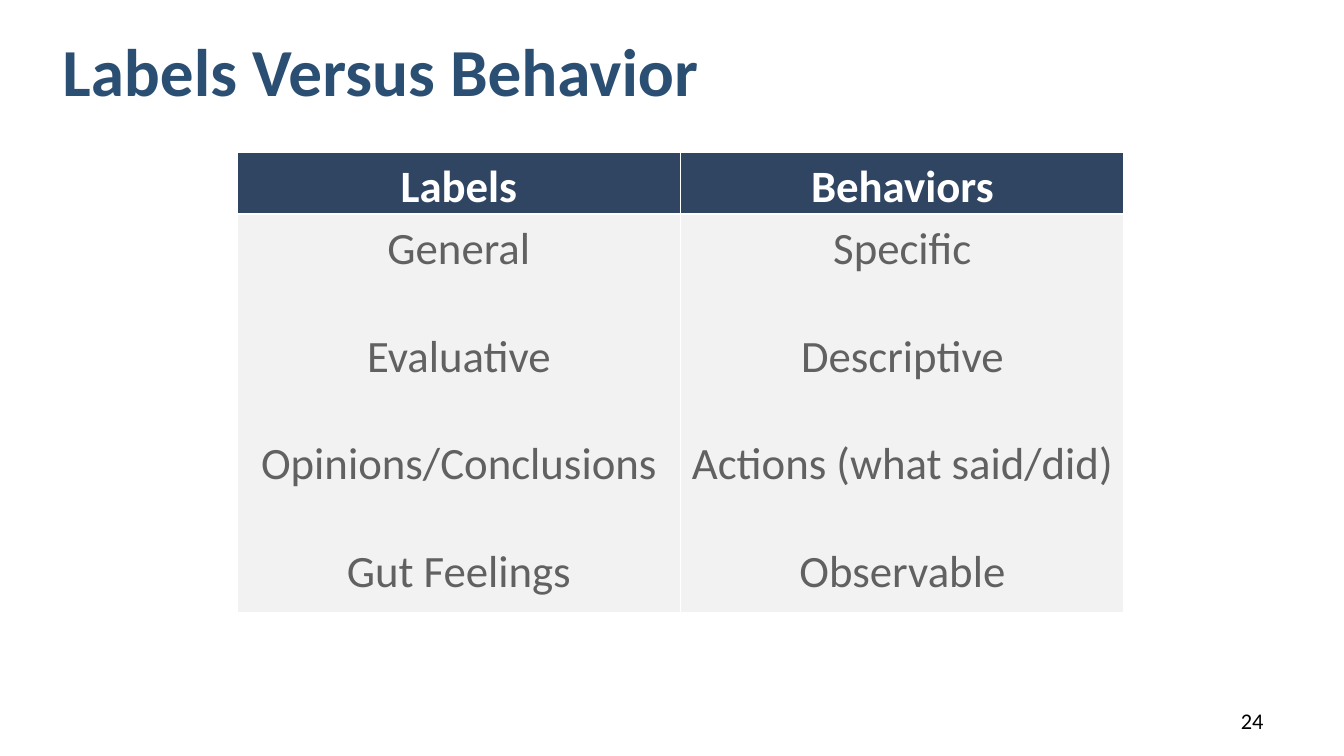
"""Build the slide comparing labels with behaviors in a two-column table."""
from dataclasses import dataclass

from lxml import etree
from pptx import Presentation
from pptx import util as u
from pptx.dml.color import RGBColor
from pptx.enum import text
from pptx.oxml import ns

WIDTH = u.Inches(10)
HEIGHT = WIDTH * 9 // 16
FONT = "Calibri"
COLORS = {
    "title": "2B4F73",
    "header": "304562",
    "body": "F2F2F2",
    "body_text": "616161",
    "white": "FFFFFF",
    "black": "000000",
}


@dataclass(frozen=True)
class Box:
    """Position and size as percentages of the slide."""

    left: float
    top: float
    width: float
    height: float

    def emu(self) -> tuple[int, int, int, int]:
        """Return the box in slide units."""
        return (
            round(WIDTH * self.left / 100),
            round(HEIGHT * self.top / 100),
            round(WIDTH * self.width / 100),
            round(HEIGHT * self.height / 100),
        )


@dataclass(frozen=True)
class Style:
    """Look of a run of text."""

    size: int
    color: str
    bold: bool = False


@dataclass(frozen=True)
class Column:
    """Heading and entries of one table column."""

    heading: str
    entries: tuple[str, ...]


TITLE_BOX = Box(3.65, 3.02, 73.6, 12.62)
TABLE_BOX = Box(17.64, 20.12, 66, 60.7)
NUMBER_BOX = Box(71.7, 92.7, 23.3, 5.33)
HEADER_SHARE = 0.13
COLUMNS = (
    Column("Labels", ("General", "Evaluative", "Opinions/Conclusions", "Gut Feelings")),
    Column("Behaviors", ("Specific", "Descriptive", "Actions (what said/did)", "Observable")),
)


def format_runs(tf, style: Style, align) -> None:
    """Apply one style and alignment to all the text in a frame."""
    for p in tf.paragraphs:
        p.alignment = align
        for r in p.runs:
            r.font.name = FONT
            r.font.size = u.Pt(style.size)
            r.font.bold = style.bold
            r.font.color.rgb = RGBColor.from_string(COLORS[style.color])


def add_borders(cell) -> None:
    """Draw a thin white line on every side of a cell."""
    tc_pr = cell._tc.get_or_add_tcPr()
    for i, side in enumerate(("lnL", "lnR", "lnT", "lnB")):
        ln = etree.Element(ns.qn(f"a:{side}"), w=str(u.Pt(1)))
        fill = etree.SubElement(ln, ns.qn("a:solidFill"))
        etree.SubElement(fill, ns.qn("a:srgbClr"), val=COLORS["white"])
        tc_pr.insert(i, ln)


def fill_cell(cell, lines: tuple[str, ...], fill: str, style: Style) -> None:
    """Write spaced, centred lines into a cell and colour it."""
    cell.fill.solid()
    cell.fill.fore_color.rgb = RGBColor.from_string(COLORS[fill])
    cell.margin_left = cell.margin_right = u.Inches(0.06)
    cell.margin_top = cell.margin_bottom = 0
    tf = cell.text_frame
    tf.text = "\n".join(lines)
    format_runs(tf, style, text.PP_ALIGN.CENTER)
    for i, p in enumerate(tf.paragraphs):
        p.line_spacing = 1.15
        p.space_before = u.Pt(12 if i else 0)
        p.space_after = u.Pt(12)
    add_borders(cell)


def add_title(s) -> None:
    """Place and format the title placeholder."""
    sp = s.shapes.title
    sp.left, sp.top, sp.width, sp.height = TITLE_BOX.emu()
    tf = sp.text_frame
    tf.text = "Labels Versus Behavior"
    tf.word_wrap = True
    tf.auto_size = text.MSO_AUTO_SIZE.SHAPE_TO_FIT_TEXT
    tf.vertical_anchor = text.MSO_ANCHOR.TOP
    format_runs(tf, Style(36, "title", True), text.PP_ALIGN.LEFT)


def add_comparison(s) -> None:
    """Add the table with a heading row and one row of entries."""
    box = TABLE_BOX.emu()
    table = s.shapes.add_table(2, len(COLUMNS), *box).table
    table.horz_banding = table.first_row = False
    table.rows[0].height = round(box[3] * HEADER_SHARE)
    table.rows[1].height = box[3] - table.rows[0].height
    for i, column in enumerate(COLUMNS):
        fill_cell(table.cell(0, i), (column.heading,), "header", Style(24, "white", True))
        fill_cell(table.cell(1, i), column.entries, "body", Style(24, "body_text"))


def add_number(s) -> None:
    """Add the slide number at the lower right."""
    tf = s.shapes.add_textbox(*NUMBER_BOX.emu()).text_frame
    tf.text = "24"
    tf.word_wrap = True
    tf.vertical_anchor = text.MSO_ANCHOR.MIDDLE
    format_runs(tf, Style(12, "black"), text.PP_ALIGN.RIGHT)


def main() -> None:
    """Build and save the presentation."""
    prs = Presentation()
    prs.slide_width, prs.slide_height = WIDTH, HEIGHT
    s = prs.slides.add_slide(prs.slide_layouts.get_by_name("Title Only"))
    add_title(s)
    add_comparison(s)
    add_number(s)
    prs.save("out.pptx")


if __name__ == "__main__":
    main()
